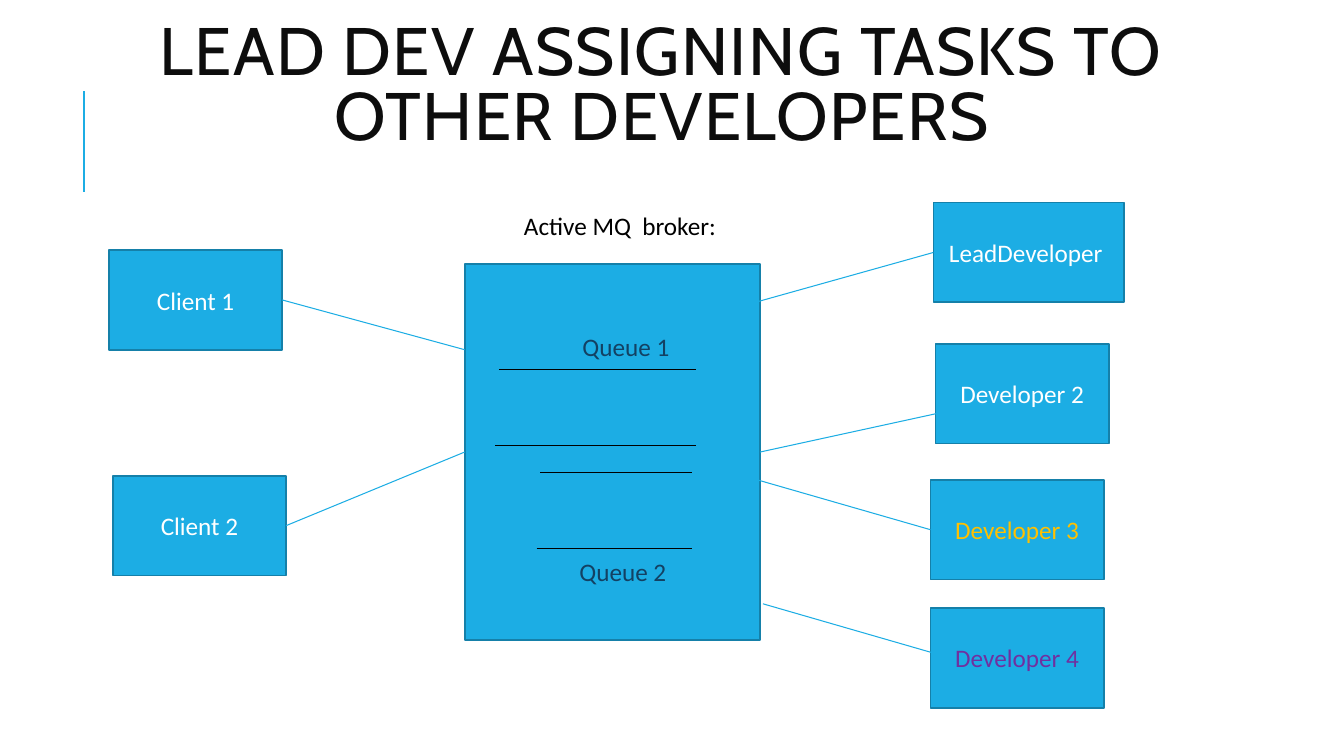
"""Build the slide showing a lead developer assigning tasks through a broker."""
from lxml.etree import SubElement
from pptx import Presentation
from pptx.dml.color import RGBColor
from pptx.enum.shapes import MSO_CONNECTOR as Connector, MSO_SHAPE as Shape
from pptx.enum.text import MSO_ANCHOR as Anchor, PP_ALIGN as Align
from pptx.oxml.ns import qn
from pptx.util import Pt

BLUE = RGBColor(0x1C, 0xAD, 0xE4)
EDGE = RGBColor(0x15, 0x80, 0xA9)
WHITE = RGBColor(0xFF, 0xFF, 0xFF)
BLACK = RGBColor(0, 0, 0)
INK = RGBColor(0x0D, 0x0D, 0x0D)
NAVY = RGBColor(0x13, 0x41, 0x63)
GOLD = RGBColor(0xFF, 0xC0, 0)
PURPLE = RGBColor(0x70, 0x30, 0xA0)
LEFT, RIGHT = 1, 3
NODE_WIDTH, NODE_HEIGHT = 123.8, 71.3


class Diagram:
    """Draws styled elements on one page."""

    body_font, title_font = "Calibri", "Cabin"

    def __init__(self, page):
        self.page = page

    def add_text(self, frame, text, color, align, size=18, font=body_font):
        """Add one run to the first paragraph of a frame."""
        frame.word_wrap = True
        para = frame.paragraphs[0]
        para.alignment = align
        span = para.add_run()
        span.text = text
        span.font.size, span.font.name = Pt(size), font
        span.font.color.rgb = color
        return para, span

    def node(self, left, top, text="", color=WHITE, width=NODE_WIDTH, height=NODE_HEIGHT):
        """Draw a blue box with an optional centred name."""
        box = self.page.shapes.add_shape(
            Shape.RECTANGLE, Pt(left), Pt(top), Pt(width), Pt(height))
        box.shadow.inherit = False
        box.fill.solid()
        box.fill.fore_color.rgb = BLUE
        box.line.color.rgb, box.line.width = EDGE, Pt(1.25)
        box.text_frame.vertical_anchor = Anchor.MIDDLE
        if text:
            self.add_text(box.text_frame, text, color, Align.CENTER)
        return box

    def label(self, left, top, text, color, align=Align.CENTER):
        """Place a one-line caption."""
        box = self.page.shapes.add_textbox(Pt(left), Pt(top), Pt(155.5), Pt(29))
        self.add_text(box.text_frame, text, color, align)

    def title(self, text):
        """Place the centred heading."""
        box = self.page.shapes.add_textbox(Pt(90), Pt(4.3), Pt(765.4), Pt(118))
        box.text_frame.vertical_anchor = Anchor.MIDDLE
        para, span = self.add_text(
            box.text_frame, text, INK, Align.CENTER, 48, self.title_font)
        para.line_spacing = 0.8
        span.font._element.set("spc", "100")

    def line(self, start, end, color=BLUE, width=0.75):
        """Draw a line between two points."""
        link = self.page.shapes.add_connector(
            Connector.STRAIGHT, *(Pt(value) for value in (*start, *end)))
        link.line.color.rgb, link.line.width = color, Pt(width)
        SubElement(link._element.spPr, qn("a:effectLst"))
        return link


def main():
    """Compose and save the deck."""
    deck = Presentation()
    deck.slide_width, deck.slide_height = Pt(960), Pt(540)
    page = deck.slides.add_slide(deck.slide_layouts[6])
    diagram = Diagram(page)

    diagram.line((60, 136.8), (60, 64.8), width=1.5)
    diagram.title("LEAD DEV ASSIGNING TASKS TO OTHER DEVELOPERS")

    broker = diagram.node(331.9, 188.6, width=211, height=268.6)
    client_1 = diagram.node(77.8, 178.6, "Client 1")
    client_2 = diagram.node(80.6, 339.8, "Client 2")
    lead = diagram.node(666.7, 144.7, "LeadDeveloper ", width=136.1)
    diagram.node(668.2, 245.5, "Developer 2")
    developer_3 = diagram.node(664.6, 342.7, "Developer 3", GOLD)
    diagram.node(664.6, 434.2, "Developer 4", PURPLE)

    diagram.line((201.6, 214.2), (331.9, 249.8)).begin_connect(client_1, RIGHT)
    link = diagram.line((204.4, 375.4), (331.9, 322.9))
    link.begin_connect(client_2, RIGHT)
    link.end_connect(broker, LEFT)
    diagram.line((542.9, 322.9), (673.2, 294.5)).begin_connect(broker, RIGHT)
    diagram.line((539.3, 216), (666.7, 180.3)).end_connect(lead, LEFT)
    diagram.line((540.7, 342.7), (664.6, 378.3)).end_connect(developer_3, LEFT)
    diagram.line((545, 431.3), (669.6, 467.3))

    diagram.label(367.2, 146.9, "Active MQ  broker:", BLACK, Align.LEFT)
    diagram.label(369.4, 233.3, "Queue 1", NAVY)
    diagram.label(367.2, 393.8, "Queue 2", NAVY)
    for left, right, top in ((356.4, 497.5, 264.2), (385.9, 494.6, 337.7)):
        diagram.line((left, top), (right, top), BLACK)
        diagram.line((left - 2.5, top + 54), (right, top + 54), BLACK)

    deck.save("out.pptx")


if __name__ == "__main__":
    main()
